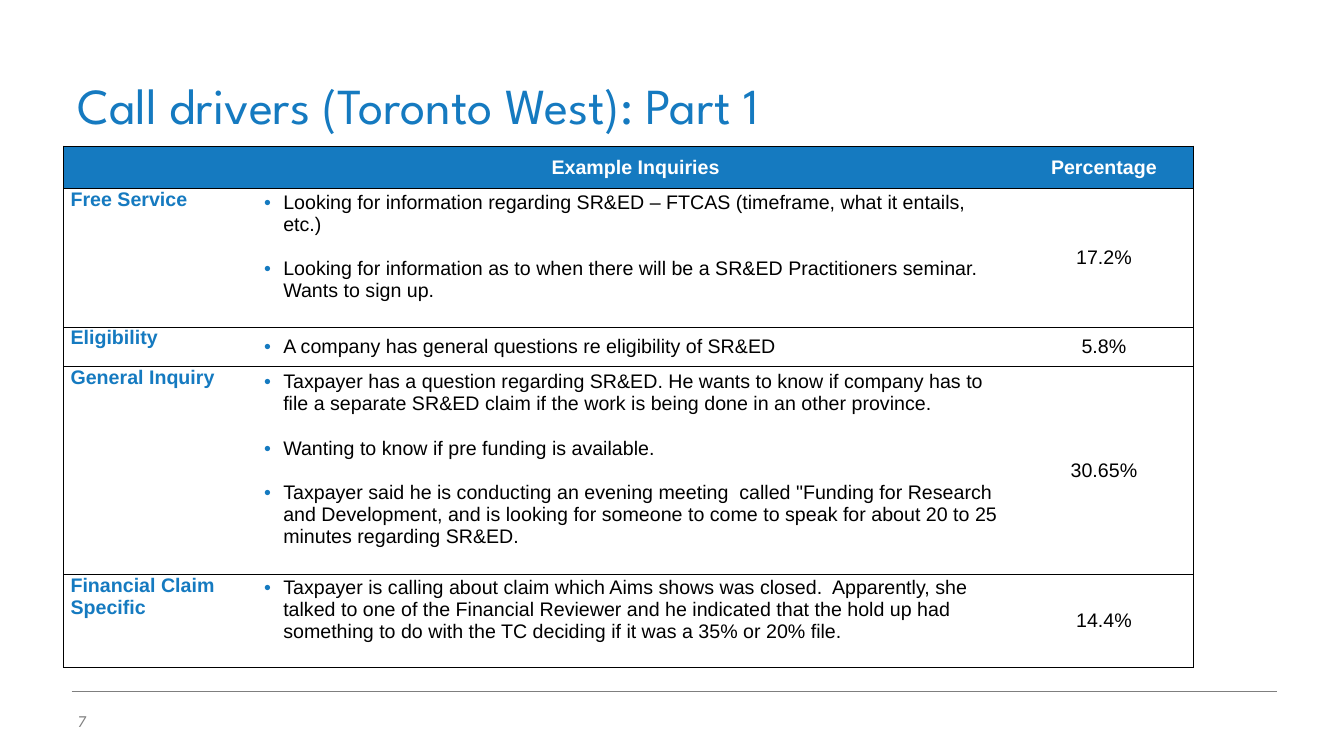
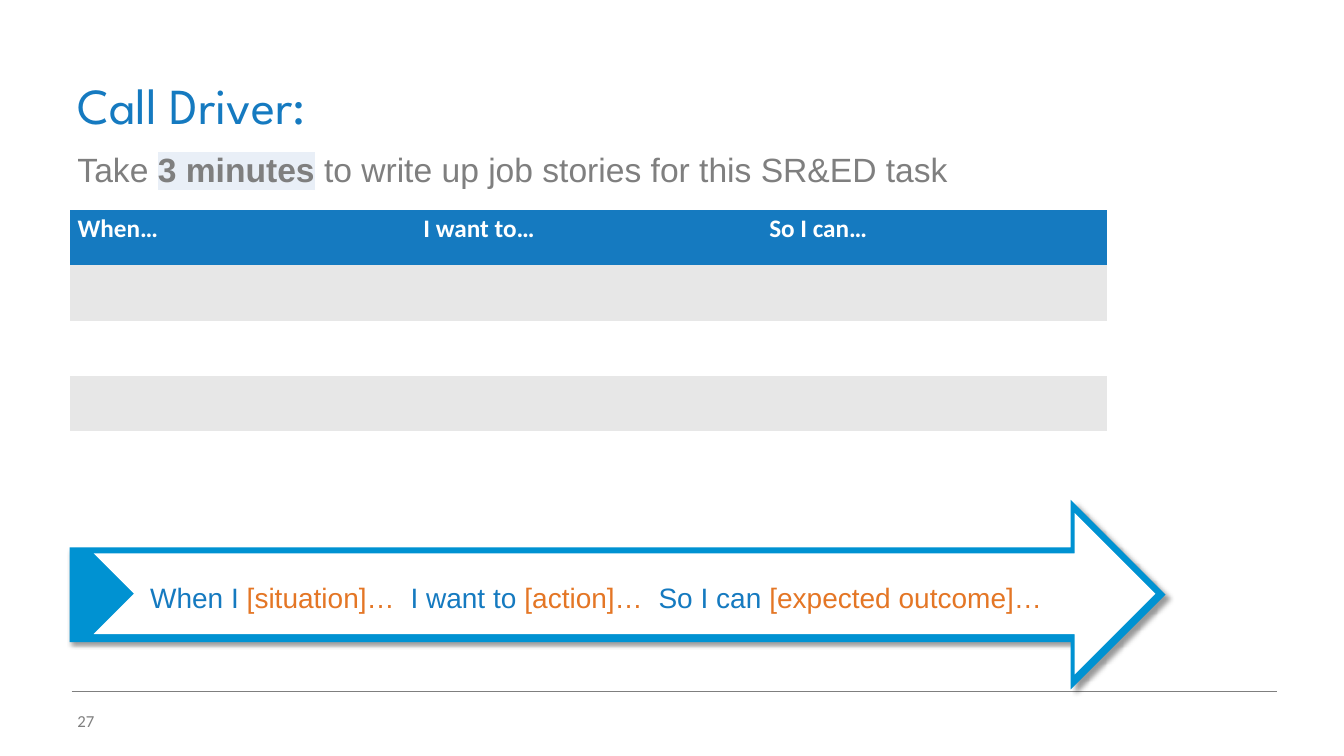
from lxml import etree
from pptx import Presentation
from pptx.dml.color import RGBColor
from pptx.enum.shapes import MSO_CONNECTOR, MSO_SHAPE
from pptx.enum.text import MSO_ANCHOR, PP_ALIGN
from pptx.oxml.ns import qn
from pptx.util import Pt

PX = 9144
LEFT, CENTER = PP_ALIGN.LEFT, PP_ALIGN.CENTER
TOP, MIDDLE, BOTTOM = MSO_ANCHOR.TOP, MSO_ANCHOR.MIDDLE, MSO_ANCHOR.BOTTOM
STRAIGHT = MSO_CONNECTOR.STRAIGHT
RIGHT_ARROW = MSO_SHAPE.RIGHT_ARROW
NOTCHED_ARROW = MSO_SHAPE.NOTCHED_RIGHT_ARROW

COLORS = {
    "blue": "157AC0", "arrow": "0092D2", "orange": "E47625", "gray": "7F7F7F",
    "band": "E7E7E7", "mark": "E9EFF7", "white": "FFFFFF", "black": "000000",
}
TITLE_FONT, BODY_FONT, TABLE_FONT = "League Spartan", "Arial", "Calibri"

DRIVER_COLUMNS = [192, 751, 178]
DRIVER_HEADER = ["", "Example Inquiries", "Percentage"]
DRIVER_HEADER_HEIGHT = 42
BLANK_LINE = 22
DRIVERS = [
    {"name": "Free Service", "share": "17.2%", "height": 131, "gap": BLANK_LINE, "inquiries": [
        "Looking for information regarding SR&ED – FTCAS (timeframe, what it entails, etc.)",
        "Looking for information as to when there will be a SR&ED Practitioners seminar.  Wants to sign up.",
    ]},
    {"name": "Eligibility", "share": "5.8%", "height": 39, "gap": 0, "inquiries": [
        "A company has general questions re eligibility of SR&ED",
    ]},
    {"name": "General Inquiry", "share": "30.65%", "height": 197, "gap": BLANK_LINE, "inquiries": [
        "Taxpayer has a question regarding SR&ED. He wants to know if company has to file a "
        "separate SR&ED claim if the work is being done in an other province.",
        "Wanting to know if pre funding is available.",
        "Taxpayer said he is conducting an evening meeting  called \"Funding for Research and "
        "Development, and is looking for someone to come to speak for about 20 to 25 minutes "
        "regarding SR&ED.",
    ]},
    {"name": "Financial Claim Specific", "share": "14.4%", "height": 88, "gap": BLANK_LINE, "inquiries": [
        "Taxpayer is calling about claim which Aims shows was closed.  Apparently, she talked "
        "to one of the Financial Reviewer and he indicated that the hold up had something to do "
        "with the TC deciding if it was a 35% or 20% file.",
    ]},
]

STORY_HEADER = ["When…", "I want to…", "So I can…"]
STORY_ROWS, STORY_COLUMN, STORY_ROW = 5, 343, 55
TASK = [
    ("Take ", {}),
    ("3 minutes", {"bold": True, "highlight": "mark"}),
    (" to write up job stories for this SR&ED task", {}),
]
STORY_PATTERN = [
    ("When I ", {}), ("[situation]…  ", {"color": "orange"}),
    ("I want to ", {}), ("[action]…  ", {"color": "orange"}),
    ("So I can ", {}), ("[expected outcome]…", {"color": "orange"}),
]


def rgb(name):
    return RGBColor.from_string(COLORS[name])


def add_node(parent, tag, **attributes):
    return etree.SubElement(parent, qn(tag), attributes)


def format_span(span, size, font, color, bold=False, italic=False, highlight=None):
    span.font.size = Pt(size)
    span.font.name = font
    span.font.bold = bold
    span.font.italic = italic
    span.font.color.rgb = rgb(color)
    if highlight:
        mark = etree.Element(qn("a:highlight"))
        add_node(mark, "a:srgbClr", val=COLORS[highlight])
        span.font._element.find(qn("a:solidFill")).addnext(mark)


def add_bullet(para):
    properties = para._p.get_or_add_pPr()
    properties.set("marL", str(19 * PX))
    properties.set("indent", str(-19 * PX))
    add_node(add_node(properties, "a:buClr"), "a:srgbClr", val=COLORS["blue"])
    add_node(properties, "a:buFont", typeface=BODY_FONT)
    add_node(properties, "a:buChar", char="•")


def write(frame, paragraphs, align=LEFT, line=None, after=0, bullets=False, **style):
    for index, spans in enumerate(paragraphs):
        para = frame.paragraphs[0] if index == 0 else frame.add_paragraph()
        para.alignment = align
        if line:
            para.line_spacing = line
        if after and index < len(paragraphs) - 1:
            para.space_after = Pt(after)
        if bullets:
            add_bullet(para)
        for text, changes in [(spans, {})] if isinstance(spans, str) else spans:
            span = para.add_run()
            span.text = text
            format_span(span, **{**style, **changes})


def add_text(page, place, paragraphs, anchor=TOP, **style):
    box = page.shapes.add_textbox(*[value * PX for value in place])
    box.text_frame.word_wrap = True
    box.text_frame.vertical_anchor = anchor
    write(box.text_frame, paragraphs, **style)


def add_page(deck, title, number, italic=False):
    page = deck.slides.add_slide(deck.slide_layouts[6])
    rule = page.shapes.add_connector(STRAIGHT, 71 * PX, 686 * PX, 1267 * PX, 686 * PX)
    rule.line.color.rgb = rgb("gray")
    rule.line.width = Pt(0.25)
    add_node(rule._element.spPr, "a:effectLst")
    add_text(page, (67, 30, 1200, 108), [title], anchor=BOTTOM,
             size=36, font=TITLE_FONT, color="blue")
    add_text(page, (67, 695, 143, 40), [number], anchor=MIDDLE,
             size=12, font=TABLE_FONT, color="gray", italic=italic)
    return page


def set_borders(cell, visible):
    properties = cell._tc.get_or_add_tcPr()
    for index, side in enumerate("LRTB"):
        border = etree.Element(qn("a:ln" + side), {"w": str(Pt(0.75))})
        if side in visible:
            add_node(add_node(border, "a:solidFill"), "a:srgbClr", val=COLORS["black"])
        else:
            add_node(border, "a:noFill")
        properties.insert(index, border)


def add_grid(page, left, top, columns, rows, margins, fills, bordered):
    size = (sum(columns) * PX, sum(rows) * PX)
    table = page.shapes.add_table(len(rows), len(columns), left * PX, top * PX, *size).table
    for column, width in zip(table.columns, columns):
        column.width = width * PX
    for r, height in enumerate(rows):
        table.rows[r].height = height * PX
        for c in range(len(columns)):
            cell = table.cell(r, c)
            cell.margin_left = cell.margin_right = margins[0] * PX
            cell.margin_top = cell.margin_bottom = margins[1] * PX
            cell.fill.solid()
            cell.fill.fore_color.rgb = rgb(fills[r])
            sides = "TB" + ("L" if c == 0 else "") + ("R" if c == len(columns) - 1 else "")
            set_borders(cell, sides if bordered else "")
    return table


def fill_cell(cell, paragraphs, anchor=TOP, **style):
    cell.vertical_anchor = anchor
    write(cell.text_frame, paragraphs, **style)


def build_drivers(deck):
    page = add_page(deck, "Call drivers (Toronto West): Part 1", "7", italic=True)
    rows = [DRIVER_HEADER_HEIGHT] + [driver["height"] for driver in DRIVERS]
    fills = ["blue"] + ["white"] * len(DRIVERS)
    table = add_grid(page, 63, 145, DRIVER_COLUMNS, rows, (7, 0), fills, bordered=True)
    base = {"size": 14, "font": BODY_FONT}
    for c, label in enumerate(DRIVER_HEADER):
        if label:
            fill_cell(table.cell(0, c), [label], anchor=MIDDLE, align=CENTER,
                      color="white", bold=True, **base)
    for r, driver in enumerate(DRIVERS, 1):
        name, inquiries, share = [table.cell(r, c) for c in range(3)]
        fill_cell(name, [driver["name"]], color="blue", bold=True, **base)
        inquiries.margin_bottom = driver["gap"] * PX
        fill_cell(inquiries, driver["inquiries"], anchor=MIDDLE, bullets=True, after=16,
                  color="black", **base)
        fill_cell(share, [driver["share"]], anchor=MIDDLE, align=CENTER, color="black", **base)


def add_arrow(page, kind, place, color):
    arrow = page.shapes.add_shape(kind, *[value * PX for value in place])
    arrow.shadow.inherit = False
    arrow.fill.solid()
    arrow.fill.fore_color.rgb = rgb(color)
    arrow.line.fill.background()
    return arrow


def add_shadow(shape):
    effects = shape._element.spPr.find(qn("a:effectLst"))
    shadow = add_node(effects, "a:outerShdw", blurRad=str(Pt(4)), dist=str(Pt(3)),
                      dir="2700000", algn="tl", rotWithShape="0")
    tint = add_node(shadow, "a:srgbClr", val=COLORS["black"])
    add_node(tint, "a:alpha", val="40000")


def build_stories(deck):
    page = add_page(deck, "Call Driver:", "27")
    add_text(page, (67, 137, 1022, 52), [TASK], line=1.15,
             size=24, font=BODY_FONT, color="gray")
    fills = ["blue"] + [("white", "band")[r % 2] for r in range(1, STORY_ROWS)]
    table = add_grid(page, 69, 208, [STORY_COLUMN] * len(STORY_HEADER),
                     [STORY_ROW] * STORY_ROWS, (8, 4), fills, bordered=False)
    for c, label in enumerate(STORY_HEADER):
        fill_cell(table.cell(0, c), [label], size=18, font=TABLE_FONT, color="white", bold=True)
    add_shadow(add_arrow(page, RIGHT_ARROW, (69, 496, 1087, 188), "arrow"))
    add_arrow(page, NOTCHED_ARROW, (93, 509, 1053, 160), "white")
    add_text(page, (139, 571, 984, 44), [STORY_PATTERN],
             size=20, font=BODY_FONT, color="blue")


def main():
    deck = Presentation()
    deck.slide_width, deck.slide_height = 1333 * PX, 750 * PX
    build_drivers(deck)
    build_stories(deck)
    deck.save("out.pptx")


if __name__ == "__main__":
    main()
